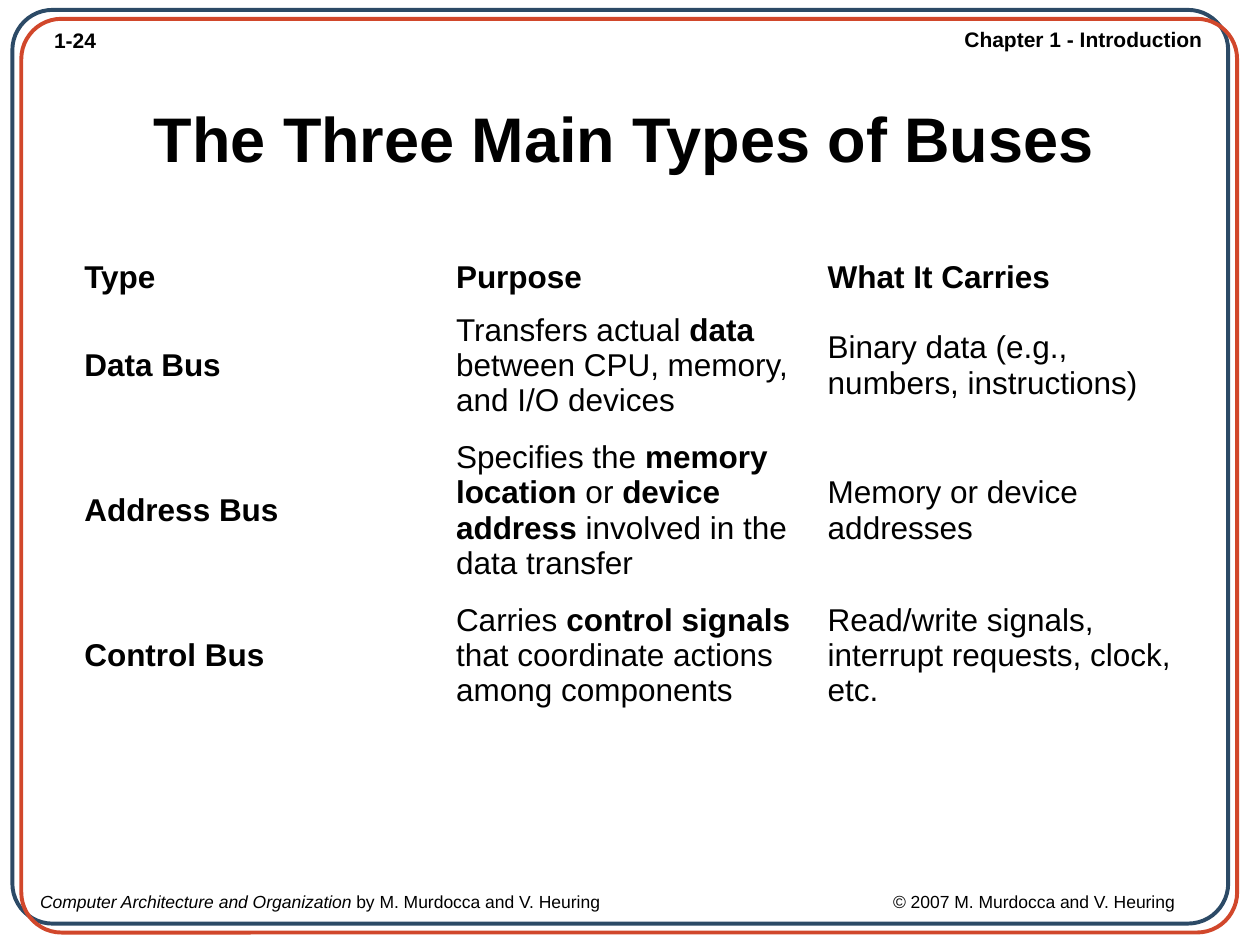
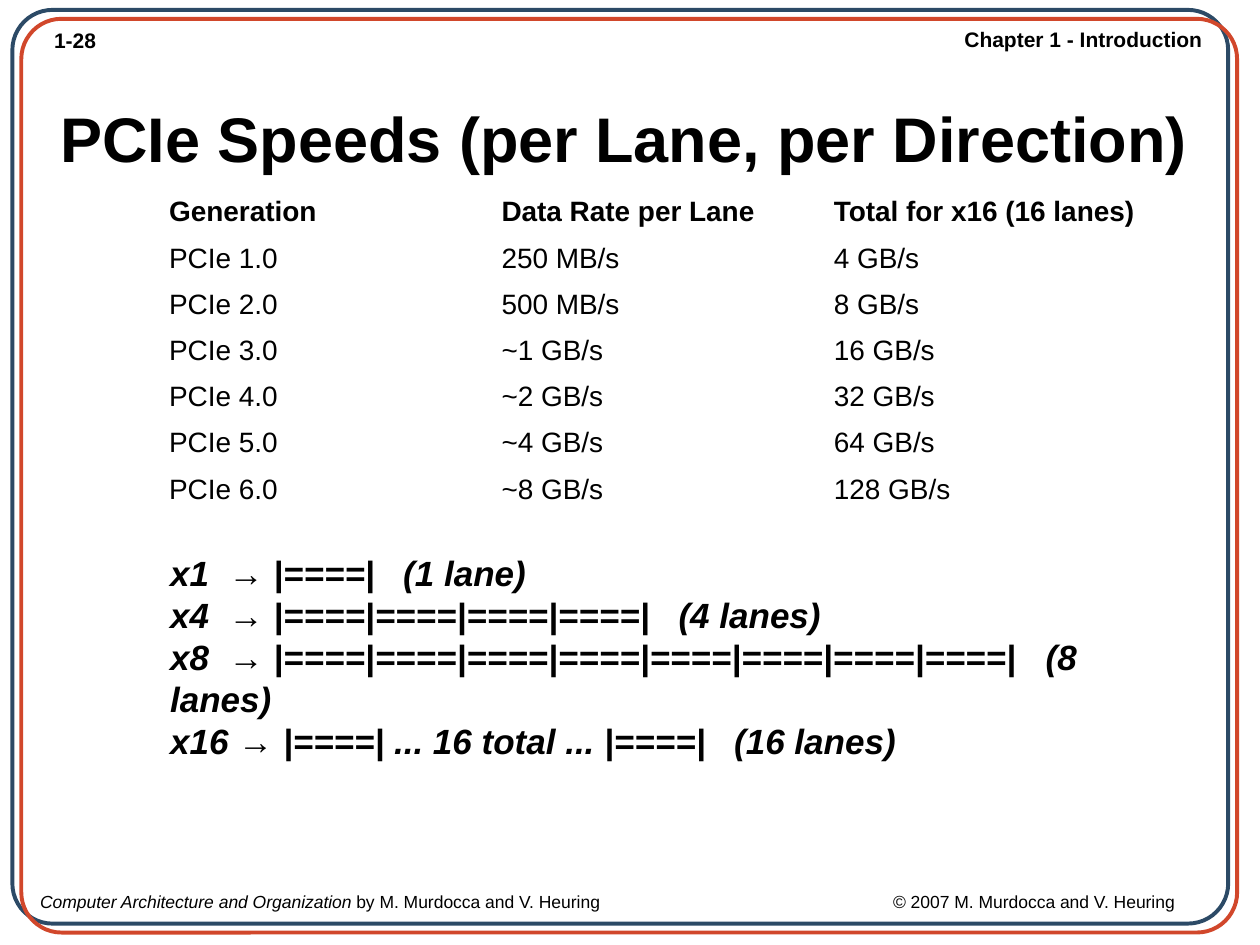
from lxml import etree
from pptx import Presentation
from pptx.dml.color import RGBColor
from pptx.enum.shapes import MSO_SHAPE
from pptx.enum.text import MSO_ANCHOR, PP_ALIGN
from pptx.oxml.ns import qn
from pptx.util import Cm, Pt

ROUNDED = MSO_SHAPE.ROUNDED_RECTANGLE
MIDDLE = MSO_ANCHOR.MIDDLE
CENTER, RIGHT = PP_ALIGN.CENTER, PP_ALIGN.RIGHT

BLACK = RGBColor(0x00, 0x00, 0x00)
NAVY = RGBColor(0x2C, 0x4A, 0x66)
RED = RGBColor(0xD1, 0x47, 0x2B)
FONT = "Arial"

# Boxes are (left, top, width, height) in centimetres.
SLIDE_SIZE = (25.4, 19.05)
FRAME_SIZE = (24.51, 18.42)
FRAMES = [(0.25, 0.2, NAVY), (0.43, 0.38, RED)]
NUMBER_BOX = (0.84, 0.43, 1.42, 0.76)
CHAPTER_BOX = (19.18, 0.41, 5.31, 0.76)
FOOTER_BOX = (0.56, 17.83, 24.84, 0.66)
FOOTER_TAB = 22.87
TITLE_BOX = (0.64, 1.27, 23.88, 3.18)

BUS_TABLE_BOX = (1.45, 5.08, 22.48, 9.4)
BUS_ROW_SHARES = [0.4, 1, 1.3, 1]
# Text between asterisks is bold.
BUS_ROWS = [
    ("*Type*", "*Purpose*", "*What It Carries*"),
    ("*Data Bus*", "Transfers actual *data* between CPU, memory, and I/O devices",
     "Binary data (e.g., numbers, instructions)"),
    ("*Address Bus*",
     "Specifies the *memory location* or *device address* involved in the data transfer",
     "Memory or device addresses"),
    ("*Control Bus*", "Carries *control signals* that coordinate actions among components",
     "Read/write signals, interrupt requests, clock, etc."),
]

SPEED_TABLE_BOX = (3.18, 3.81, 20.1, 6.37)
SPEED_ROWS = [
    ("*Generation*", "*Data Rate per Lane*", "*Total for x16 (16 lanes)*"),
    ("PCIe 1.0", "250 MB/s", "4 GB/s"),
    ("PCIe 2.0", "500 MB/s", "8 GB/s"),
    ("PCIe 3.0", "~1 GB/s", "16 GB/s"),
    ("PCIe 4.0", "~2 GB/s", "32 GB/s"),
    ("PCIe 5.0", "~4 GB/s", "64 GB/s"),
    ("PCIe 6.0", "~8 GB/s", "128 GB/s"),
]

LANES_BOX = (3.18, 11.0, 20.9, 4.5)
LANE = "|===="
ARROW_TAB = 1.18
FIRST_LABEL_TAB = 4.7
LANE_WIDTH = 1.85
X16_LABEL_TAB = 11.37


def add_run(paragraph, text, size, bold=False, italic=False):
    run = paragraph.add_run()
    run.text = text
    font = run.font
    font.name, font.size, font.color.rgb = FONT, Pt(size), BLACK
    font.bold, font.italic = bold, italic


def set_tabs(paragraph, *stops):
    """Give a paragraph tab stops, each a (centimetres, alignment) pair."""
    tab_list = etree.SubElement(paragraph._p.get_or_add_pPr(), qn("a:tabLst"))
    for position, alignment in stops:
        etree.SubElement(tab_list, qn("a:tab"), pos=str(Cm(position)), algn=alignment)


def add_text_frame(slide, box, wrap=True):
    text_frame = slide.shapes.add_textbox(*map(Cm, box)).text_frame
    text_frame.word_wrap = wrap
    return text_frame


def add_frame(slide, left, top, color):
    shape = slide.shapes.add_shape(ROUNDED, Cm(left), Cm(top), *map(Cm, FRAME_SIZE))
    shape.adjustments[0] = 0.044
    shape.shadow.inherit = False
    shape.fill.background()
    shape.line.color.rgb = color
    shape.line.width = Pt(2.25)


def add_header(slide, number):
    add_run(add_text_frame(slide, NUMBER_BOX).paragraphs[0], number, 12, bold=True)
    chapter = add_text_frame(slide, CHAPTER_BOX, wrap=False).paragraphs[0]
    chapter.alignment = RIGHT
    add_run(chapter, "Chapter 1 - Introduction", 12, bold=True)


def add_footer(slide, box):
    paragraph = add_text_frame(slide, box).paragraphs[0]
    set_tabs(paragraph, (FOOTER_TAB, "r"))
    add_run(paragraph, "Computer Architecture and Organization ", 10, italic=True)
    add_run(paragraph, "by M. Murdocca and V. Heuring\t© 2007 M. Murdocca and V. Heuring", 10)


def add_title(slide, box, title):
    text_frame = add_text_frame(slide, box)
    text_frame.vertical_anchor = MIDDLE
    paragraph = text_frame.paragraphs[0]
    paragraph.alignment = CENTER
    paragraph.line_spacing = 0.9
    add_run(paragraph, title, 36, bold=True)


def add_plain_table(slide, box, rows, row_shares, size, side_margin):
    """Add a table without fills, its row heights in proportion to row_shares."""
    height = box[3]
    table = slide.shapes.add_table(len(rows), len(rows[0]), *map(Cm, box)).table
    table.first_row = table.horz_banding = False
    for row, share in zip(table.rows, row_shares):
        row.height = Cm(height * share / sum(row_shares))
    for row, texts in zip(table.rows, rows):
        for cell, text in zip(row.cells, texts):
            cell.fill.background()
            cell.vertical_anchor = MIDDLE
            cell.margin_left = cell.margin_right = Cm(side_margin)
            paragraph = cell.text_frame.paragraphs[0]
            for index, part in enumerate(text.split("*")):
                if part:
                    add_run(paragraph, part, size, bold=index % 2 == 1)


def add_lane_diagram(slide, box):
    lines = [
        (f"x{count}\t→ {LANE * count}|\t({count} {'lane' if count == 1 else 'lanes'})",
         [ARROW_TAB, FIRST_LABEL_TAB + (count - 1) * LANE_WIDTH])
        for count in (1, 4, 8)
    ]
    lines.append((f"x16 → {LANE}| ... 16 total ... {LANE}|\t(16 lanes)", [X16_LABEL_TAB]))
    text_frame = add_text_frame(slide, box)
    for index, (text, tabs) in enumerate(lines):
        paragraph = text_frame.add_paragraph() if index else text_frame.paragraphs[0]
        set_tabs(paragraph, *((tab, "l") for tab in tabs))
        add_run(paragraph, text, 20, bold=True, italic=True)


def add_base_slide(presentation, number, title):
    slide = presentation.slides.add_slide(presentation.slide_layouts[6])
    add_header(slide, number)
    add_footer(slide, FOOTER_BOX)
    for left, top, color in FRAMES:
        add_frame(slide, left, top, color)
    add_title(slide, TITLE_BOX, title)
    return slide


def add_bus_slide(presentation):
    slide = add_base_slide(presentation, "1-24", "The Three Main Types of Buses")
    add_plain_table(slide, BUS_TABLE_BOX, BUS_ROWS, BUS_ROW_SHARES, 18, 0.25)


def add_speed_slide(presentation):
    slide = add_base_slide(presentation, "1-28", "PCIe Speeds (per Lane, per Direction)")
    add_plain_table(slide, SPEED_TABLE_BOX, SPEED_ROWS, [1] * len(SPEED_ROWS), 16, 0.23)
    add_lane_diagram(slide, LANES_BOX)


def main():
    presentation = Presentation()
    presentation.slide_width, presentation.slide_height = map(Cm, SLIDE_SIZE)
    add_bus_slide(presentation)
    add_speed_slide(presentation)
    presentation.save("out.pptx")


if __name__ == "__main__":
    main()
